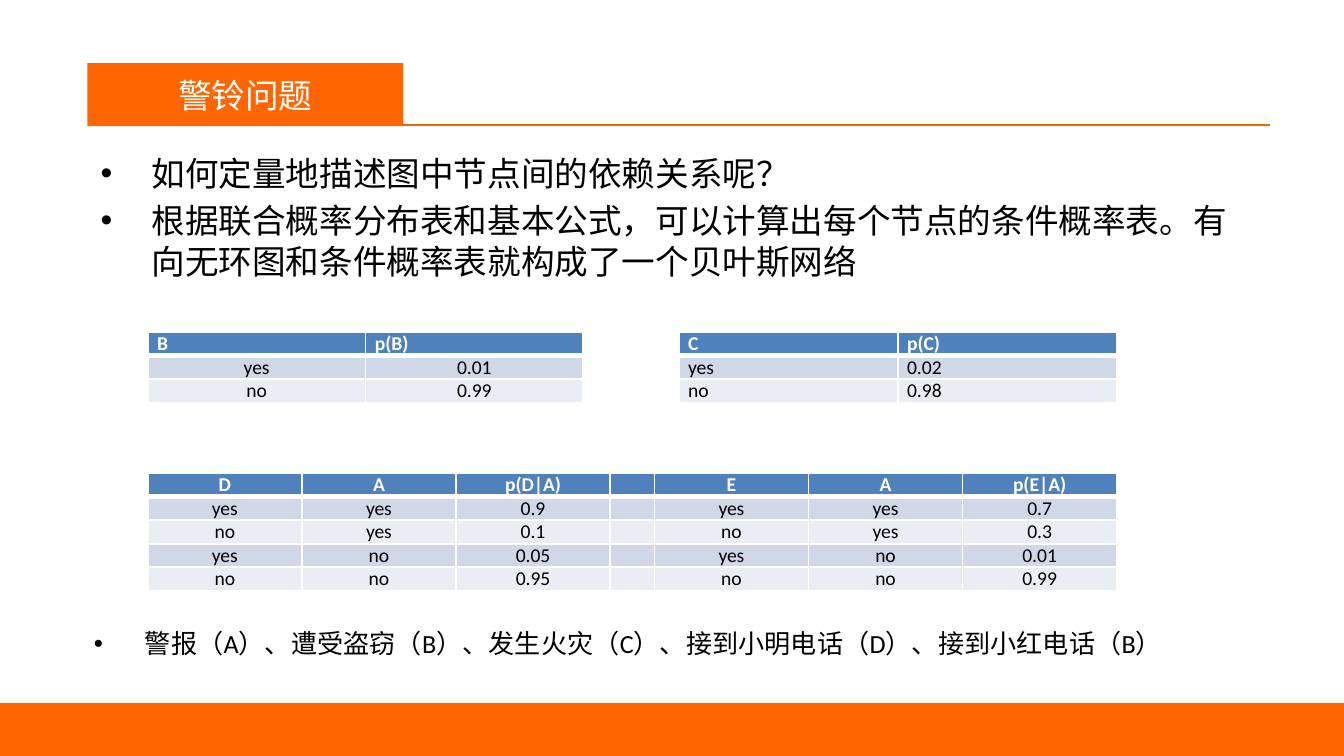
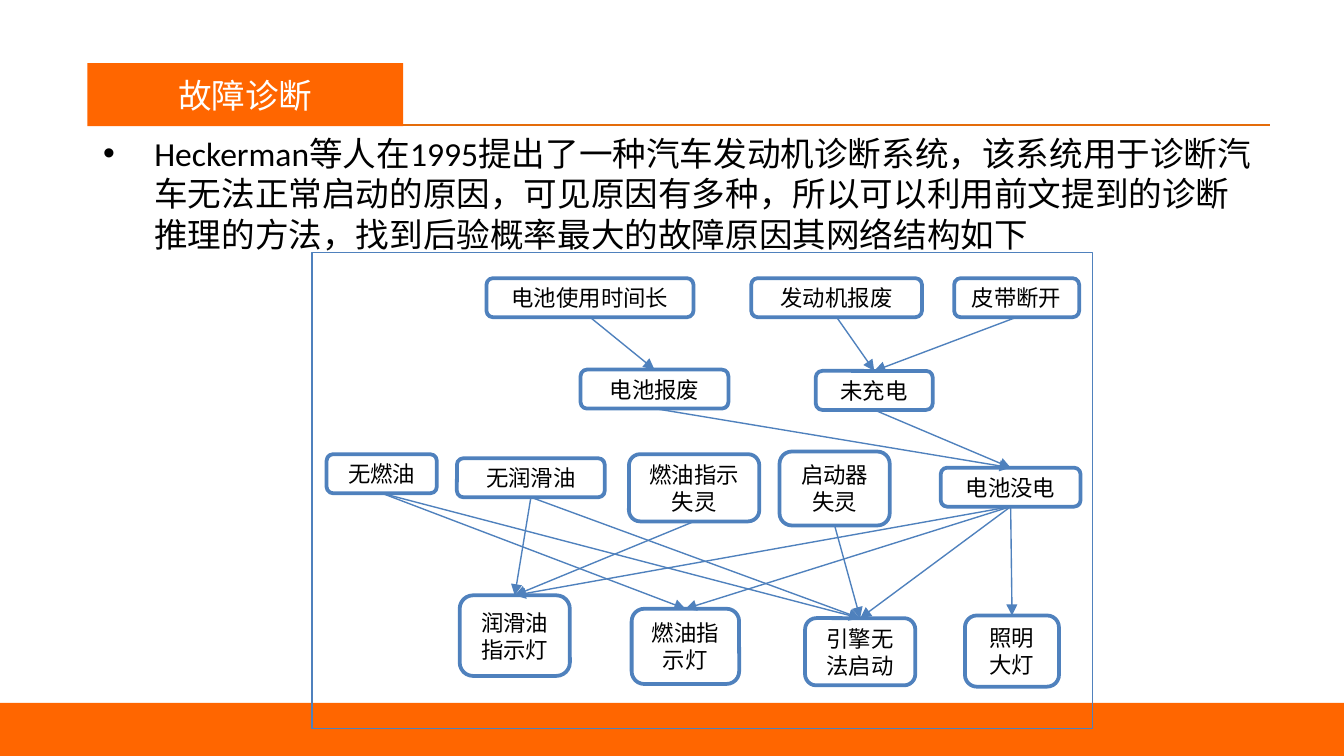
import pptx
import pptx.dml.color
import pptx.enum.shapes
import pptx.enum.text
import pptx.oxml.ns
import pptx.util
from lxml import etree

Inches, Pt = pptx.util.Inches, pptx.util.Pt
ALIGN = pptx.enum.text.PP_ALIGN
ANCHOR = pptx.enum.text.MSO_ANCHOR
SHAPE = pptx.enum.shapes.MSO_SHAPE
qn = pptx.oxml.ns.qn

ORANGE, RULE, BLUE = "FF6600", "E46C0A", "4F81BD"
WHITE, BLACK = "FFFFFF", "000000"
ROW_BANDS = ["E9EDF4", "D0D8E8"]
LATIN, NODE_FONT = "Calibri", "Noto Sans CJK SC"
TITLE_BOX = (0.65, 0.47, 2.35, 0.47)
ROW_HEIGHT = 0.175
NODE_HEIGHT = 0.29

TITLE_TEXT = {"size": Pt(18), "name": LATIN}
NODE_TEXT = {"size": Pt(12), "name": NODE_FONT}
HEADER_TEXT = {"size": Pt(10.5), "name": LATIN, "bold": True}
CELL_TEXT = {"size": Pt(10.5), "name": LATIN, "bold": False}
CELL_FRAME = {"margin_left": Inches(0.07), "margin_right": Inches(0.07),
              "margin_top": 0, "margin_bottom": 0}

ALARM_POINTS = [
    "如何定量地描述图中节点间的依赖关系呢？",
    "根据联合概率分布表和基本公式，可以计算出每个节点的条件概率表。有向无环图和条件概率表就构成了一个贝叶斯网络",
]
ALARM_LEGEND = ["警报（A）、遭受盗窃（B）、发生火灾（C）、接到小明电话（D）、接到小红电话（B）"]
BURGLARY = [["B", "p(B)"], ["yes", "0.01"], ["no", "0.99"]]
FIRE = [["C", "p(C)"], ["yes", "0.02"], ["no", "0.98"]]
CALLS = [
    ["D", "A", "p(D|A)", "", "E", "A", "p(E|A)"],
    ["yes", "yes", "0.9", "", "yes", "yes", "0.7"],
    ["no", "yes", "0.1", "", "no", "yes", "0.3"],
    ["yes", "no", "0.05", "", "yes", "no", "0.01"],
    ["no", "no", "0.95", "", "no", "no", "0.99"],
]
DIAGNOSIS_POINTS = [
    "Heckerman等人在1995提出了一种汽车发动机诊断系统，该系统用于诊断汽车无法正常启动的原因，"
    "可见原因有多种，所以可以利用前文提到的诊断推理的方法，找到后验概率最大的故障原因其网络结构如下",
]
NODES = {
    "电池使用时间长": (1.3, 0.19, 1.54, NODE_HEIGHT),
    "发动机报废": (3.27, 0.19, 1.27, NODE_HEIGHT),
    "皮带断开": (4.78, 0.19, 0.93, NODE_HEIGHT),
    "电池报废": (2, 0.87, 1.1, NODE_HEIGHT),
    "未充电": (3.75, 0.88, 0.87, NODE_HEIGHT),
    "电池没电": (4.68, 1.6, 1.04, NODE_HEIGHT),
    "无润滑油": (1.08, 1.53, 1.1, NODE_HEIGHT),
    "无燃油": (0.11, 1.5, 0.82, NODE_HEIGHT),
    "燃油指示\n失灵": (2.36, 1.5, 0.97, 0.5),
    "启动器失灵": (3.48, 1.48, 0.82, 0.55),
    "燃油指示灯": (2.38, 2.65, 0.8, 0.56),
    "润滑油指示灯": (1.1, 2.55, 0.82, 0.6),
    "引擎无法启动": (3.67, 2.72, 0.82, 0.5),
    "照明大灯": (4.86, 2.7, 0.7, 0.53),
}
EFFECTS = {
    "电池使用时间长": ["电池报废"],
    "发动机报废": ["未充电"],
    "皮带断开": ["未充电"],
    "电池报废": ["电池没电"],
    "未充电": ["电池没电"],
    "电池没电": ["照明大灯", "引擎无法启动", "燃油指示灯", "润滑油指示灯"],
    "无润滑油": ["润滑油指示灯", "引擎无法启动"],
    "无燃油": ["燃油指示灯", "引擎无法启动"],
    "燃油指示\n失灵": ["润滑油指示灯"],
    "启动器失灵": ["引擎无法启动"],
}


def color(value):
    return pptx.dml.color.RGBColor.from_string(value)


def apply(target, values):
    for key, value in values.items():
        setattr(target, key, value)


def inches(box):
    return [Inches(length) for length in box]


def write(paragraph, text, font, ink, align=None):
    paragraph.alignment = align
    run = paragraph.add_run()
    run.text = text
    apply(run.font, font)
    run.font.color.rgb = color(ink)
    etree.SubElement(run.font._element, qn("a:ea"), typeface=LATIN)


def stroke(line, ink, width):
    line.color.rgb = color(ink)
    line.width = Pt(width)


def block(slide, kind, box, fill=None, outline=None, width=0.75):
    shape = slide.shapes.add_shape(kind, *inches(box))
    shape.shadow.inherit = False
    if fill:
        shape.fill.solid()
        shape.fill.fore_color.rgb = color(fill)
    else:
        shape.fill.background()
    if outline:
        stroke(shape.line, outline, width)
    else:
        shape.line.fill.background()
    return shape


def label(shape, text, font, ink):
    frame = shape.text_frame
    apply(frame, {"word_wrap": True, "vertical_anchor": ANCHOR.MIDDLE})
    for index, line in enumerate(text.split("\n")):
        paragraph = frame.add_paragraph() if index else frame.paragraphs[0]
        write(paragraph, line, font, ink, ALIGN.CENTER)


def connector(slide, ink, start=(0, 0), end=(0, 0)):
    link = slide.shapes.add_connector(
        pptx.enum.shapes.MSO_CONNECTOR.STRAIGHT, *inches(start + end))
    stroke(link.line, ink, 0.75)
    etree.SubElement(link._element.spPr, qn("a:effectLst"))
    return link


def titled_slide(deck, title):
    slide = deck.slides.add_slide(deck.slide_layouts[6])
    left, top, width, height = TITLE_BOX
    connector(slide, RULE, (left + 0.17, 0.93), (9.45, 0.93))
    block(slide, SHAPE.RECTANGLE, (0, 5.23, 10, 0.4), ORANGE)
    banner = block(slide, SHAPE.RECTANGLE, TITLE_BOX, ORANGE)
    label(banner, title, TITLE_TEXT, WHITE)
    return slide


def bullet_list(slide, box, points, size):
    frame = slide.shapes.add_textbox(*inches(box)).text_frame
    apply(frame, {"word_wrap": True,
                  "auto_size": pptx.enum.text.MSO_AUTO_SIZE.SHAPE_TO_FIT_TEXT})
    for index, point in enumerate(points):
        paragraph = frame.add_paragraph() if index else frame.paragraphs[0]
        write(paragraph, point, {"size": Pt(size), "name": LATIN}, BLACK)
        paragraph.space_before = Pt(size * 0.2)
        properties = paragraph._p.get_or_add_pPr()
        properties.set("marL", str(Inches(0.38)))
        properties.set("indent", str(-Inches(0.38)))
        etree.SubElement(properties, qn("a:buFont"), typeface="Arial")
        etree.SubElement(properties, qn("a:buChar"), char="•")


def cell_borders(cell, row):
    widths = {"lnL": 1, "lnR": 1, "lnT": 3 if row == 1 else 1, "lnB": 3 if row == 0 else 1}
    for side, width in widths.items():
        edge = etree.SubElement(cell._tc.get_or_add_tcPr(), qn("a:" + side), w=str(Pt(width)))
        fill = etree.SubElement(edge, qn("a:solidFill"))
        etree.SubElement(fill, qn("a:srgbClr"), val=WHITE)


def probability_table(slide, left, top, widths, rows, header_align, body_align):
    box = inches((left, top, sum(widths), ROW_HEIGHT * len(rows)))
    table = slide.shapes.add_table(len(rows), len(widths), *box).table
    for column, width in zip(table.columns, widths):
        column.width = Inches(width)
    for r, values in enumerate(rows):
        table.rows[r].height = Inches(ROW_HEIGHT)
        font, ink, fill, align = (
            (CELL_TEXT, BLACK, ROW_BANDS[r % 2], body_align) if r
            else (HEADER_TEXT, WHITE, BLUE, header_align))
        for c, value in enumerate(values):
            cell = table.cell(r, c)
            apply(cell, CELL_FRAME)
            cell_borders(cell, r)
            cell.fill.solid()
            cell.fill.fore_color.rgb = color(fill)
            paragraph = cell.text_frame.paragraphs[0]
            if value:
                write(paragraph, value, font, ink, align)
            else:
                etree.SubElement(paragraph._p, qn("a:endParaRPr"), sz="1050")


def probability_tables(slide, box):
    left, top, width, height = box
    probability_table(slide, left, top, [1.62] * 2, BURGLARY, ALIGN.JUSTIFY, ALIGN.CENTER)
    probability_table(slide, left + 3.95, top, [1.63] * 2, FIRE, ALIGN.JUSTIFY, ALIGN.JUSTIFY)
    gap = 0.33
    call_widths = [(width - gap) / 6] * 3
    probability_table(slide, left, top + 1.05, call_widths + [gap] + call_widths,
                      CALLS, ALIGN.CENTER, ALIGN.CENTER)


def fault_network(slide, box):
    left, top, width, height = box
    block(slide, SHAPE.RECTANGLE, box, outline=BLUE)
    nodes = {}
    for text, (x, y, w, h) in NODES.items():
        nodes[text] = block(slide, SHAPE.ROUNDED_RECTANGLE, (left + x, top + y, w, h),
                            WHITE, BLUE, 2)
        label(nodes[text], text, NODE_TEXT, BLACK)
    for cause, effects in EFFECTS.items():
        for effect in effects:
            arrow = connector(slide, BLUE)
            arrow.begin_connect(nodes[cause], 2)
            arrow.end_connect(nodes[effect], 0)
            etree.SubElement(arrow.line._get_or_add_ln(), qn("a:tailEnd"), type="triangle")


def alarm_slide(deck):
    slide = titled_slide(deck, "警铃问题")
    bullet_list(slide, (0.65, 1.09, 8.8, 1.07), ALARM_POINTS, 18)
    probability_tables(slide, (1.1, 2.47, 7.21, 1.93))
    bullet_list(slide, (0.6, 4.62, 8.8, 0.34), ALARM_LEGEND, 14)


def diagnosis_slide(deck):
    slide = titled_slide(deck, "故障诊断")
    bullet_list(slide, (0.67, 0.94, 8.8, 1.01), DIAGNOSIS_POINTS, 18)
    fault_network(slide, (2.32, 1.88, 5.81, 3.54))


def main():
    deck = pptx.Presentation()
    apply(deck, {"slide_width": Inches(10), "slide_height": Inches(5.625)})
    alarm_slide(deck)
    diagnosis_slide(deck)
    deck.save("out.pptx")


if __name__ == "__main__":
    main()
